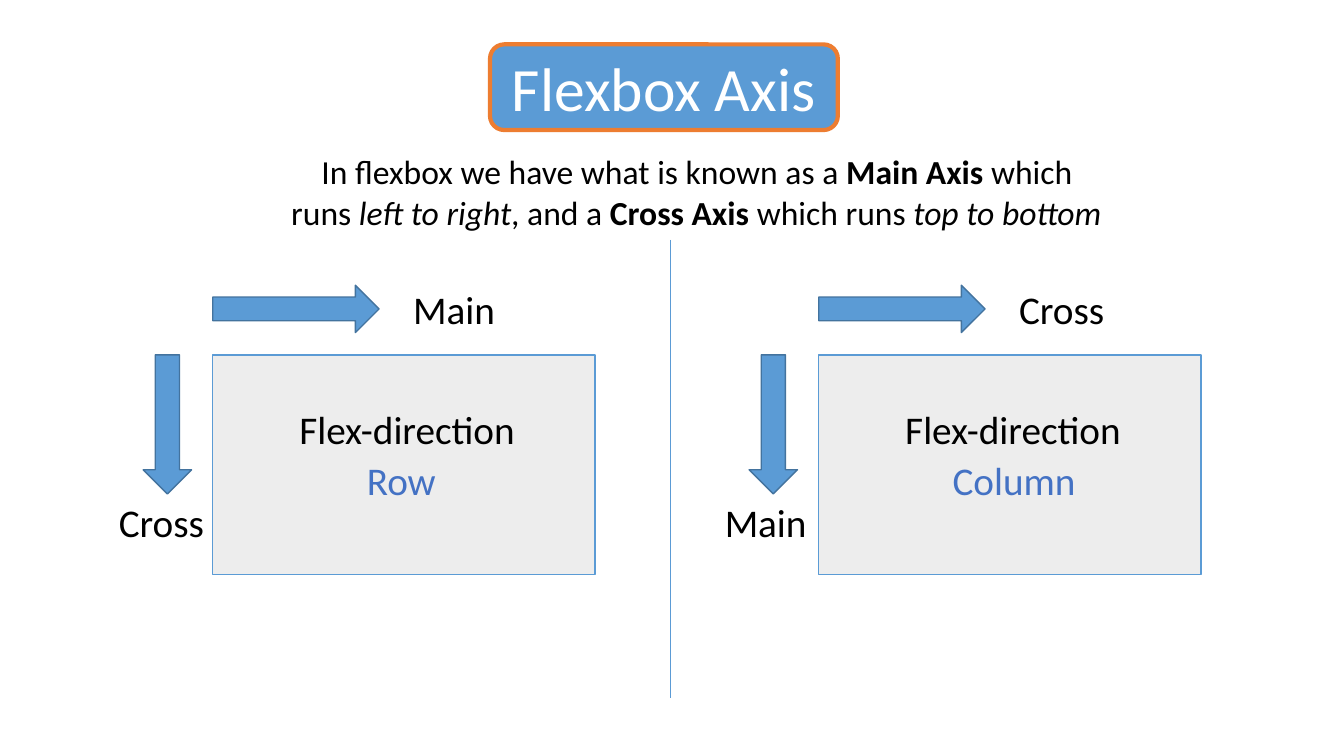
from lxml import etree
from pptx import Presentation
from pptx.dml.color import RGBColor
from pptx.enum.shapes import MSO_CONNECTOR, MSO_SHAPE
from pptx.enum.text import MSO_ANCHOR, MSO_AUTO_SIZE, PP_ALIGN
from pptx.oxml.ns import qn
from pptx.util import Inches, Pt

BADGE = MSO_SHAPE.FLOWCHART_ALTERNATE_PROCESS
RECTANGLE = MSO_SHAPE.RECTANGLE
RIGHT_ARROW = MSO_SHAPE.RIGHT_ARROW
DOWN_ARROW = MSO_SHAPE.DOWN_ARROW
STRAIGHT = MSO_CONNECTOR.STRAIGHT
MIDDLE = MSO_ANCHOR.MIDDLE
TOP = MSO_ANCHOR.TOP
CENTER = PP_ALIGN.CENTER
LEFT = PP_ALIGN.LEFT
NO_AUTOFIT = MSO_AUTO_SIZE.NONE

THEME = {
    "font": "Calibri",
    "title": Pt(44),
    "intro": Pt(24),
    "label": Pt(28),
    "white": RGBColor.from_string("FFFFFF"),
    "black": RGBColor.from_string("000000"),
    "blue": RGBColor.from_string("5B9BD5"),
    "edge": RGBColor.from_string("43739E"),
    "orange": RGBColor.from_string("ED7D31"),
    "gray": RGBColor.from_string("EDEDED"),
    "value": RGBColor.from_string("4472C4"),
}

deck = Presentation()
deck.slide_width = Inches(13.33)
deck.slide_height = Inches(7.5)
page = deck.slides.add_slide(deck.slide_layouts[5])


def add_block(kind, area, fill, edge, weight):
    block = page.shapes.add_shape(kind, *map(Inches, area))
    block.shadow.inherit = False
    block.fill.solid()
    block.fill.fore_color.rgb = THEME[fill]
    block.line.color.rgb = THEME[edge]
    block.line.width = Pt(weight)


def write(box, spans, size, color, align=LEFT, anchor=TOP):
    frame = box.text_frame
    frame.word_wrap = True
    frame.auto_size = NO_AUTOFIT
    frame.vertical_anchor = anchor
    para = frame.paragraphs[0]
    para.alignment = align
    for text, style in spans:
        span = para.add_run()
        span.text = text
        span.font.color.rgb = THEME[color]
        formats = {"name": THEME["font"], "size": THEME[size], **style}
        for name, value in formats.items():
            setattr(span.font, name, value)
    return para


badge_area = (4.86, 0.44, 3.45, 0.85)
add_block(BADGE, badge_area, "blue", "orange", 3)
title = page.shapes.title
for side, length in zip(("left", "top", "width", "height"), badge_area):
    setattr(title, side, Inches(length))
write(title, [("Flexbox Axis", {})], "title", "white", CENTER, MIDDLE)
title.element.getparent().append(title.element)

intro = page.shapes.add_textbox(*map(Inches, (2.79, 1.45, 8.4, 0.91)))
intro_spans = [
    ("In flexbox we have what is known as a ", {}),
    ("Main Axis", {"bold": True}),
    (" which runs ", {}),
    ("left to right", {"italic": True}),
    (", and a ", {}),
    ("Cross Axis", {"bold": True}),
    (" which runs ", {}),
    ("top to bottom", {"italic": True}),
]
intro_para = write(intro, intro_spans, "intro", "black")
intro_para._p.get_or_add_pPr().set("indent", str(Inches(0.3)))

panel_top = 3.52
panels = [
    (2.11, "Main", "Cross", "Row", 1.43),
    (8.12, "Cross", "Main", "Column", 1.23),
]
for left, across, down, direction, direction_shift in panels:
    add_block(RECTANGLE, (left, panel_top, 3.79, 2.18), "gray", "blue", 1)
    add_block(RIGHT_ARROW, (left, panel_top - 0.69, 1.65, 0.47), "blue", "edge", 1)
    add_block(DOWN_ARROW, (left - 0.69, panel_top, 0.48, 1.38), "blue", "edge", 1)
    labels = [
        (across, 1.89, -0.74, 1.2, "black"),
        (down, -1.03, 1.37, 1.2, "black"),
        ("Flex-direction", 0.76, 0.45, 2.52, "black"),
        (direction, direction_shift, 0.96, 1.84, "value"),
    ]
    for text, shift, drop, width, color in labels:
        area = (left + shift, panel_top + drop, width, 0.57)
        label = page.shapes.add_textbox(*map(Inches, area))
        write(label, [(text, {})], "label", color)

divider = page.shapes.add_connector(STRAIGHT, *map(Inches, (6.65, 2.38, 6.65, 6.92)))
divider.line.color.rgb = THEME["blue"]
divider.line.width = Pt(0.75)
etree.SubElement(divider.element.spPr, qn("a:effectLst"))

deck.save("out.pptx")
